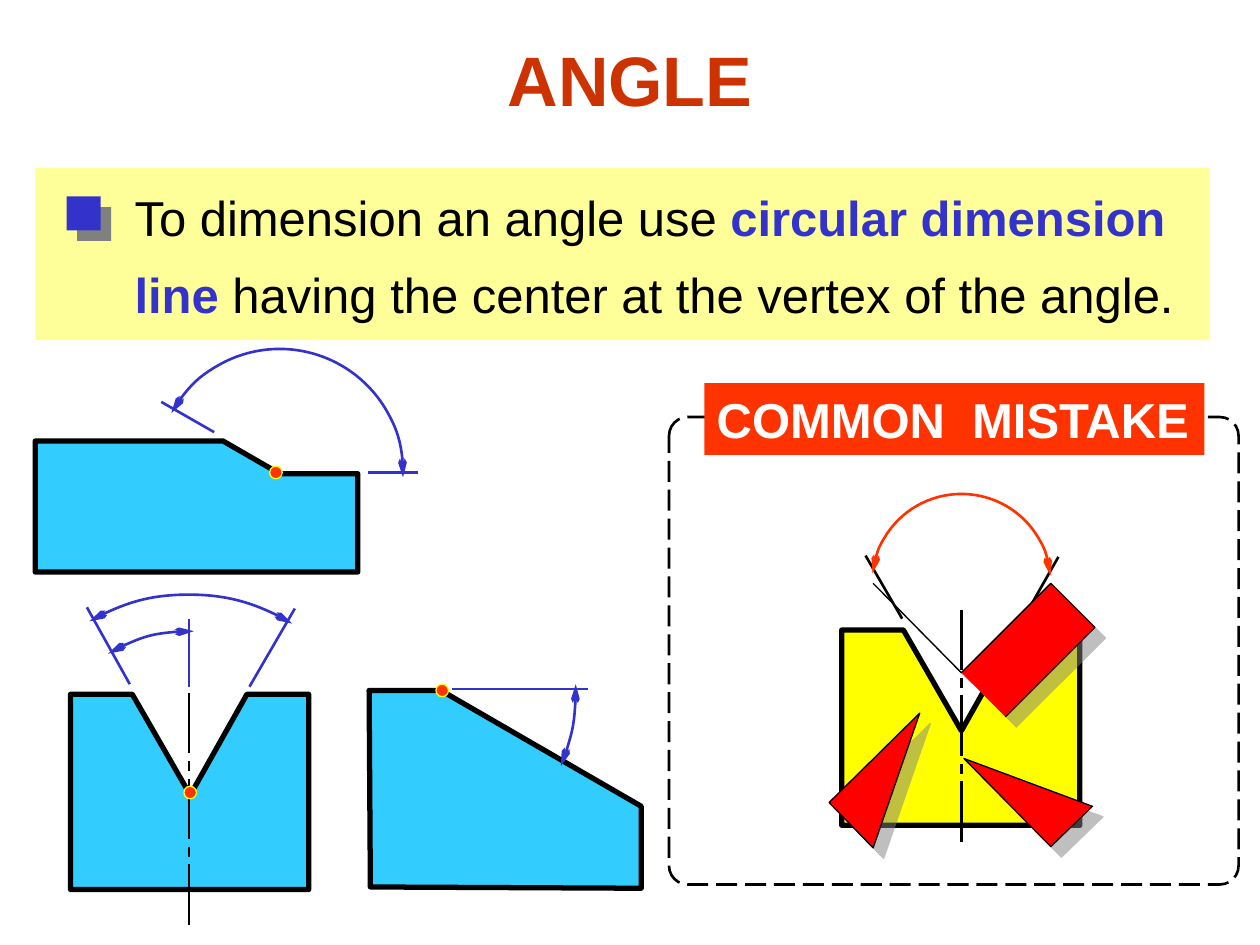
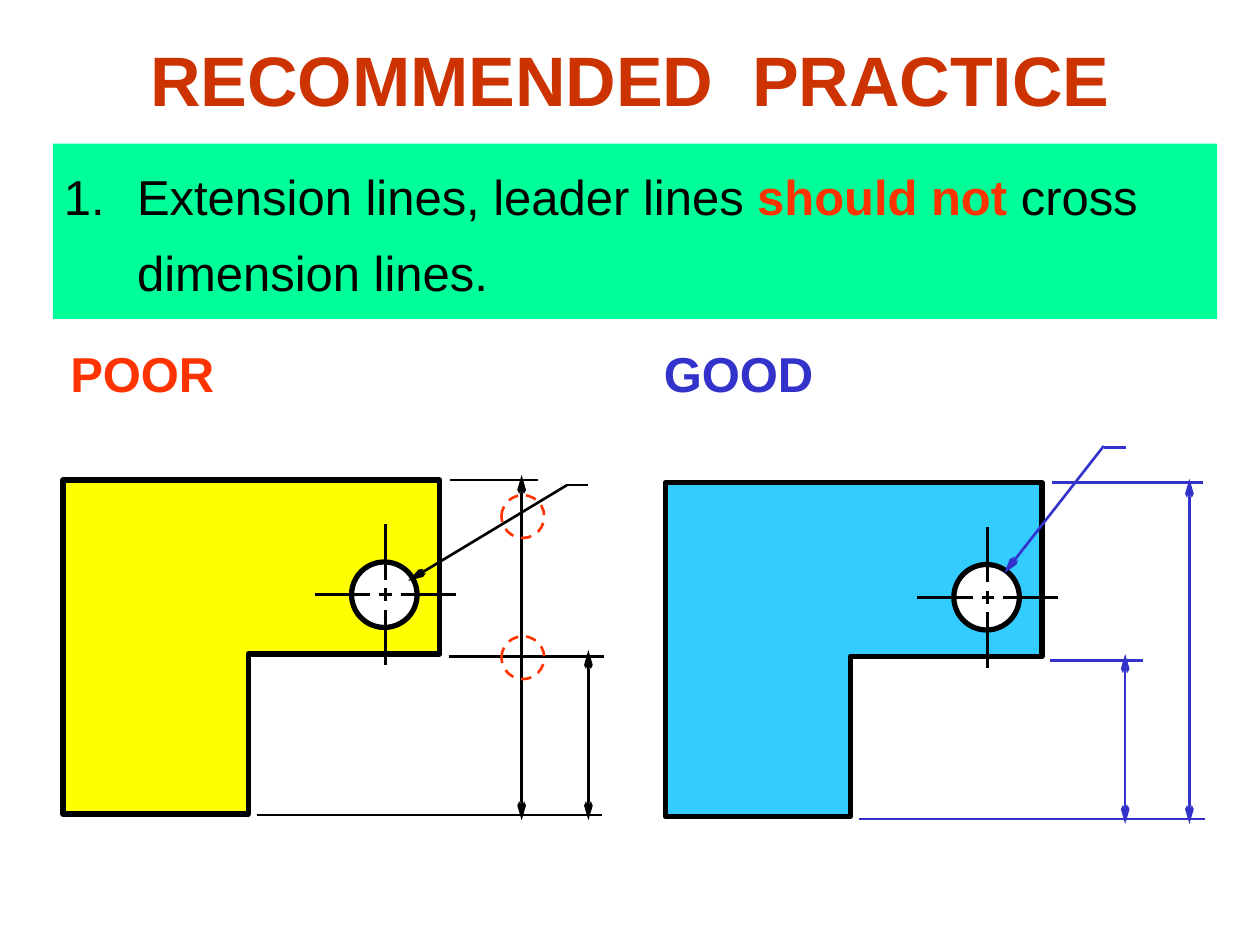
import dataclasses
import typing

import lxml.etree
import pptx
import pptx.dml.color
import pptx.enum.dml
import pptx.enum.shapes
import pptx.enum.text
import pptx.oxml.ns
import pptx.util

COLORS = {
    "black": "000000",
    "white": "FFFFFF",
    "blue": "3333CC",
    "cyan": "33CCFF",
    "yellow": "FFFF00",
    "cream": "FFFF99",
    "mint": "00FF99",
    "orange": "FF3300",
    "red": "FF0000",
    "title": "CC3300",
    "gray": "808080",
}
FONT = "Arial"
SHAPES = pptx.enum.shapes.MSO_SHAPE
DASHES = pptx.enum.dml.MSO_LINE
Inches = pptx.util.Inches
Point = tuple[float, float]

V_BLOCK = [(0, 0), (0.49, 0), (0.95, 0.8), (1.4, 0), (1.89, 0), (1.89, 1.55), (0, 1.55)]
L_PLATE = [(0, 0), (2.99, 0), (2.99, 1.38), (1.47, 1.38), (1.47, 2.65), (0, 2.65)]
STEP_BLOCK = [(0, 0), (1.49, 0), (1.94, 0.26), (2.56, 0.26), (2.56, 1.04), (0, 1.04)]
WEDGE = [(0, 0), (0.57, 0), (2.16, 0.92), (2.16, 1.57), (0.01, 1.56)]
PENCIL_PIECES = [
    [(7.3, 5.66), (6.58, 6.37), (6.93, 6.73), (7.3, 5.66)],
    [(7.65, 6.02), (8.34, 6.72), (8.67, 6.4), (7.65, 6.02)],
    [(7.98, 5.69), (8.69, 4.98), (8.34, 4.63), (7.63, 5.34), (6.93, 4.63)],
]


@dataclasses.dataclass
class Run:
    text: str
    color: str = "black"
    bold: bool = False


@dataclasses.dataclass
class Line:
    start: Point
    end: Point
    color: str = "blue"
    head: bool = False
    tail: bool = False


@dataclasses.dataclass
class Arc:
    center: Point
    radius: float
    start: float
    end: float
    color: str = "blue"


@dataclasses.dataclass
class Box:
    left: float
    top: float
    width: float
    height: float


def rgb(name: str) -> pptx.dml.color.RGBColor:
    return pptx.dml.color.RGBColor.from_string(COLORS[name])


def add_element(parent: typing.Any, tag: str, **attributes: str) -> typing.Any:
    return lxml.etree.SubElement(parent, pptx.oxml.ns.qn(tag), attributes)


def style_line(shape, color: str, width: float, dash=None, head=False, tail=False) -> None:
    shape.line.color.rgb = rgb(color)
    shape.line.width = pptx.util.Pt(width)
    if dash is not None:
        shape.line.dash_style = dash
    line = shape._element.spPr.find(pptx.oxml.ns.qn("a:ln"))
    add_element(line, "a:round")
    for tag, wanted in (("a:headEnd", head), ("a:tailEnd", tail)):
        if wanted:
            add_element(line, tag, type="arrow", w="sm", len="lg")


def add_shadow(shape, opacity: int) -> None:
    effects = shape._element.spPr.find(pptx.oxml.ns.qn("a:effectLst"))
    shadow = add_element(effects, "a:outerShdw", dist=str(pptx.util.Pt(8.5)),
                         dir="2700000", algn="ctr", rotWithShape="0")
    color = add_element(shadow, "a:srgbClr", val=COLORS["gray"])
    add_element(color, "a:alpha", val=str(opacity * 1000))


def finish(shape, fill=None, line=None, width=1.5, dash=None) -> None:
    shape.shadow.inherit = False
    if fill:
        shape.fill.solid()
        shape.fill.fore_color.rgb = rgb(fill)
    else:
        shape.fill.background()
    if line:
        style_line(shape, line, width, dash)
    else:
        shape.line.fill.background()


def add_preset(slide, kind, box: Box, **style):
    shape = slide.shapes.add_shape(kind, *map(Inches, dataclasses.astuple(box)))
    finish(shape, **style)
    return shape


def add_circle(slide, center: Point, radius: float, **style):
    box = Box(center[0] - radius, center[1] - radius, 2 * radius, 2 * radius)
    return add_preset(slide, SHAPES.OVAL, box, **style)


def add_lines(slide, lines: list[Line]) -> None:
    for line in lines:
        connector = slide.shapes.add_connector(
            pptx.enum.shapes.MSO_CONNECTOR.STRAIGHT,
            *map(Inches, (*line.start, *line.end)))
        style_line(connector, line.color, 1.5, head=line.head, tail=line.tail)
        add_element(connector._element.spPr, "a:effectLst")


def add_arc(slide, arc: Arc) -> None:
    x, y = arc.center
    box = Box(x - arc.radius, y - arc.radius, 2 * arc.radius, 2 * arc.radius)
    shape = add_preset(slide, SHAPES.ARC, box)
    for index, angle in enumerate((arc.start, arc.end)):
        shape.adjustments[index] = angle * 0.6
    style_line(shape, arc.color, 1.5, head=True, tail=True)


def add_outline(slide, origin: Point, points: list[Point], fill: str) -> None:
    vertices = [(Inches(origin[0] + x), Inches(origin[1] + y)) for x, y in points]
    builder = slide.shapes.build_freeform(*vertices[0])
    builder.add_line_segments(vertices[1:], close=True)
    finish(builder.convert_to_shape(), fill, "black", 3)


def add_pencil(slide) -> None:
    contours = [[(Inches(x), Inches(y)) for x, y in piece] for piece in PENCIL_PIECES]
    builder = slide.shapes.build_freeform(*contours[0][0])
    for index, contour in enumerate(contours):
        if index:
            builder.move_to(*contour[0])
        builder.add_line_segments(contour[1:], close=False)
    shape = builder.convert_to_shape()
    finish(shape, "red", "black", 0.75)
    add_shadow(shape, 50)


def add_centerline(slide, x: float, top: float) -> None:
    lines = []
    for length in (0.48, 0.08, 0.48, 0.08, 0.48):
        lines.append(Line((x, top), (x, top + length), "black"))
        top += length + 0.06
    add_lines(slide, lines)


def add_text(slide, box: Box, paragraphs: list[list[Run]], size=28, spacing=None,
             title=False, numbered=False, fill=None) -> None:
    shape = slide.shapes.add_textbox(*map(Inches, dataclasses.astuple(box)))
    if fill:
        shape.fill.solid()
        shape.fill.fore_color.rgb = rgb(fill)
    frame = shape.text_frame
    frame.word_wrap = True
    if title:
        frame.vertical_anchor = pptx.enum.text.MSO_ANCHOR.MIDDLE
    for index, runs in enumerate(paragraphs):
        paragraph = frame.paragraphs[0] if index == 0 else frame.add_paragraph()
        if numbered:
            properties = paragraph._p.get_or_add_pPr()
            properties.set("marL", str(Inches(0.58)))
            properties.set("indent", str(Inches(-0.58)))
            color = add_element(properties, "a:buClr")
            add_element(color, "a:srgbClr", val=COLORS["black"])
            add_element(properties, "a:buFont", typeface=FONT)
            add_element(properties, "a:buAutoNum", type="arabicPeriod")
        if title:
            paragraph.alignment = pptx.enum.text.PP_ALIGN.CENTER
        if spacing:
            paragraph.line_spacing = spacing
        for item in runs:
            if item.text == "\n":
                paragraph.add_line_break()
                continue
            run = paragraph.add_run()
            run.text = item.text
            run.font.name = FONT
            run.font.size = pptx.util.Pt(size)
            run.font.bold = item.bold
            run.font.color.rgb = rgb(item.color)


def add_title(slide, text: str) -> None:
    add_text(slide, Box(0.75, 0, 8.5, 1.25), [[Run(text, "title", True)]], 40, title=True)


def add_plate(slide, origin: Point, fill: str) -> None:
    add_outline(slide, origin, L_PLATE, fill)
    x, y = origin[0] + 2.56, origin[1] + 0.91
    add_circle(slide, (x - 0.01, y), 0.26, fill="white", line="black", width=3)
    for dx, dy in ((1, 0), (0, 1)):
        add_lines(slide, [
            Line((x + dx * start, y + dy * start), (x + dx * end, y + dy * end), "black")
            for start, end in ((-0.56, -0.12), (-0.05, 0.05), (0.12, 0.56))])


def build_angle_slide(slide) -> None:
    add_arc(slide, Arc((1.5, 6.3), 1.58, 240, 301.3))
    add_preset(slide, SHAPES.RECTANGLE, Box(0.28, 1.33, 9.32, 1.37), fill="cream")
    add_title(slide, "ANGLE")
    add_outline(slide, (2.93, 5.48), WEDGE, "cyan")
    add_outline(slide, (0.28, 3.5), STEP_BLOCK, "cyan")
    add_lines(slide, [
        Line((1.03, 5.43), (0.69, 4.82)),
        Line((1.98, 5.45), (2.34, 4.83)),
        Line((3.59, 5.47), (4.67, 5.47)),
        Line((1.7, 3.43), (1.28, 3.19)),
        Line((2.92, 3.75), (3.32, 3.75)),
    ])
    add_text(slide, Box(0.97, 1.3, 8.6, 1.32), [
        [Run("To dimension an angle use "), Run("circular dimension", "blue", True)],
        [Run("line", "blue", True), Run(" having the center at the vertex of the angle.")],
    ], spacing=1.3)
    marker = add_preset(slide, SHAPES.RECTANGLE, Box(0.53, 1.56, 0.27, 0.27), fill="blue")
    add_shadow(marker, 100)
    add_outline(slide, (0.56, 5.51), V_BLOCK, "cyan")
    add_centerline(slide, 1.5, 5.5)
    add_lines(slide, [Line((1.5, 4.91), (1.5, 5.45))])
    for arc in (Arc((1.51, 6.29), 1.28, 239.4, 271.3),
                Arc((2.22, 3.75), 0.98, 208.7, 2.3),
                Arc((2.93, 5.47), 1.64, 358.6, 21.9)):
        add_arc(slide, arc)

    frame = add_preset(slide, SHAPES.ROUNDED_RECTANGLE, Box(5.31, 3.31, 4.52, 3.71),
                       line="black", dash=DASHES.LONG_DASH)
    frame.adjustments[0] = 0.04
    add_text(slide, Box(5.59, 3.04, 3.97, 0.57),
             [[Run("COMMON  MISTAKE", "white", True)]], fill="orange")
    add_lines(slide, [Line((7.16, 4.91), (6.87, 4.41), "black"),
                      Line((8.11, 4.93), (8.4, 4.42), "black")])
    add_outline(slide, (6.68, 5), V_BLOCK, "yellow")
    add_centerline(slide, 7.63, 4.84)
    add_arc(slide, Arc((7.63, 4.63), 0.71, 186.4, 355.1, "orange"))
    for vertex in ((2.19, 3.75), (1.51, 6.29), (3.51, 5.48)):
        add_circle(slide, vertex, 0.05, fill="orange", line="yellow", width=0.75)
    add_pencil(slide)


def build_practice_slide(slide) -> None:
    add_preset(slide, SHAPES.RECTANGLE, Box(0.42, 1.14, 9.24, 1.39), fill="mint")
    add_text(slide, Box(0.41, 1.13, 8.9, 1.32), [[
        Run("Extension lines, leader lines "), Run("should not ", "orange", True),
        Run("cross"), Run("\n"), Run("dimension lines."),
    ]], spacing=1.3, numbered=True)
    add_lines(slide, [
        Line((8.35, 3.83), (9.55, 3.83)),
        Line((6.82, 6.5), (9.56, 6.5)),
        Line((9.44, 3.8), (9.44, 6.54), head=True, tail=True),
        Line((8.33, 5.24), (9.07, 5.24)),
        Line((8.93, 5.19), (8.93, 6.54), head=True, tail=True),
        Line((3.57, 3.81), (4.27, 3.81), "black"),
        Line((2.04, 6.47), (4.78, 6.47), "black"),
        Line((4.14, 3.77), (4.14, 6.51), "black", True, True),
        Line((3.56, 5.21), (4.79, 5.21), "black"),
        Line((4.67, 5.16), (4.67, 6.51), "black", True, True),
    ])
    add_plate(slide, (0.5, 3.81), "yellow")
    add_lines(slide, [Line((3.24, 4.61), (4.5, 3.85), "black", head=True),
                      Line((4.49, 3.85), (4.67, 3.85), "black")])
    add_plate(slide, (5.28, 3.83), "cyan")
    add_lines(slide, [Line((7.97, 4.55), (8.76, 3.54), head=True),
                      Line((8.76, 3.55), (8.94, 3.55))])
    for left, label, color in ((0.46, "POOR", "orange"), (5.17, "GOOD", "blue")):
        add_text(slide, Box(left, 2.68, 1.5, 0.57), [[Run(label, color, True)]])
    for crossing_y in (4.1, 5.22):
        add_circle(slide, (4.15, crossing_y), 0.17, line="orange", dash=DASHES.DASH)
    add_title(slide, "RECOMMENDED  PRACTICE")


def main() -> None:
    presentation = pptx.Presentation()
    presentation.slide_width = Inches(10)
    presentation.slide_height = Inches(7.5)
    for build in (build_angle_slide, build_practice_slide):
        build(presentation.slides.add_slide(presentation.slide_layouts[6]))
    presentation.save("out.pptx")


if __name__ == "__main__":
    main()
